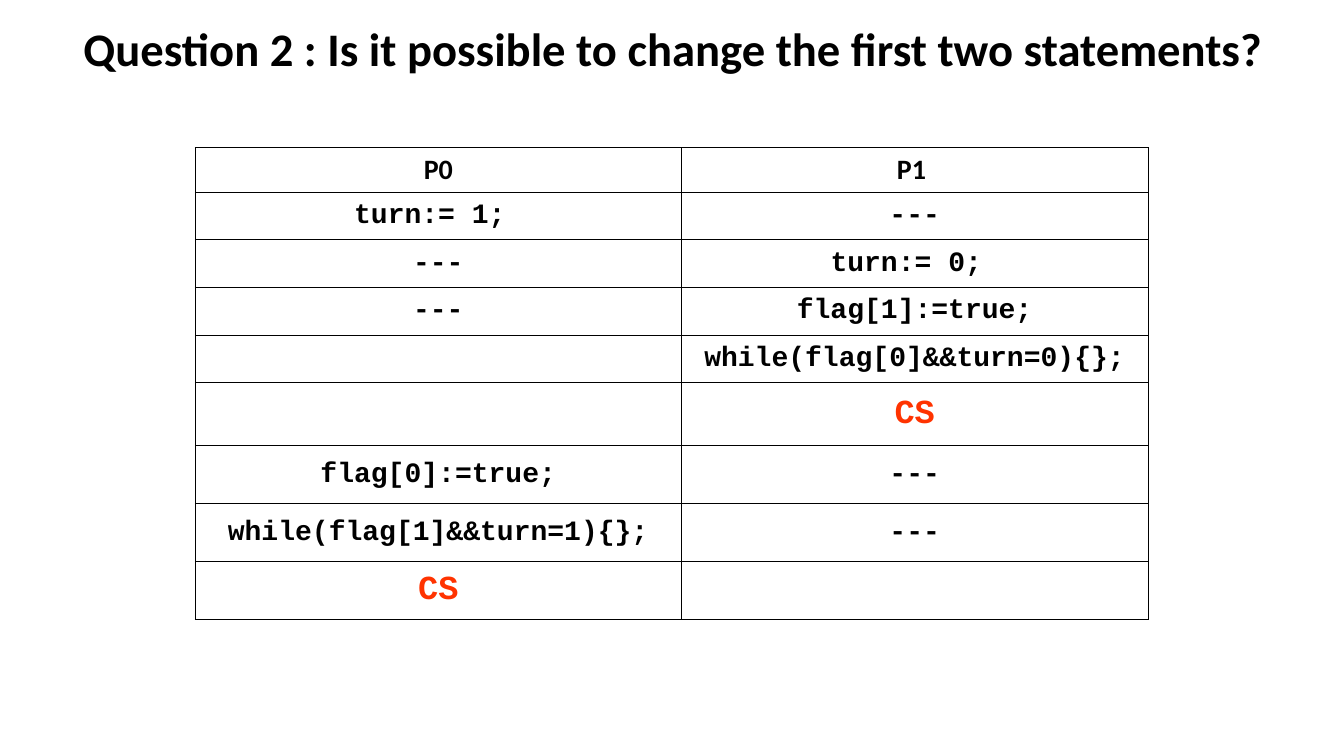
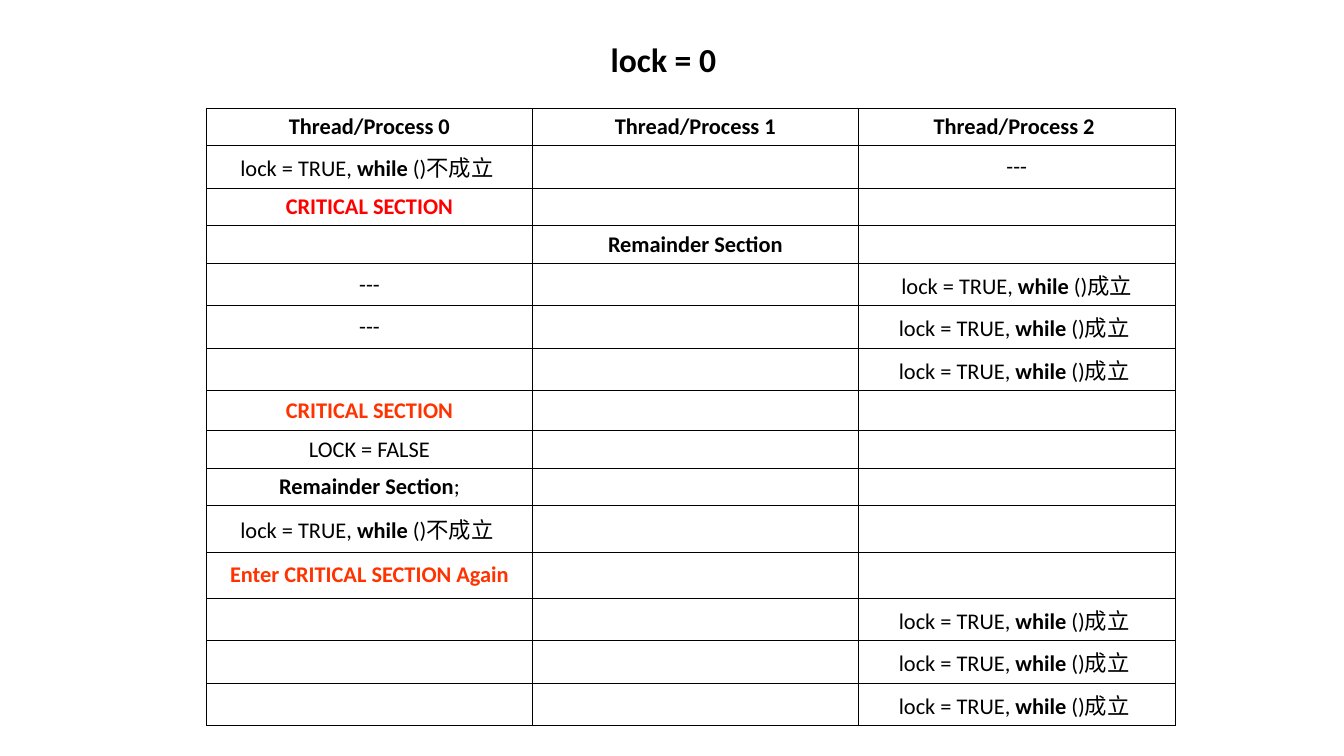
from lxml.etree import SubElement
from pptx import Presentation
from pptx.dml.color import RGBColor
from pptx.enum.text import MSO_ANCHOR, MSO_AUTO_SIZE, PP_ALIGN
from pptx.oxml.ns import qn
from pptx.util import Pt

BLACK = RGBColor(0x00, 0x00, 0x00)
RED = RGBColor(0xFF, 0x00, 0x00)
ORANGE_RED = RGBColor(0xFF, 0x33, 0x00)
BODY_FONT = "Calibri"
CODE_FONT = "Courier New"
TITLE_ONLY = 5

deck = Presentation()
deck.slide_width, deck.slide_height = Pt(960), Pt(540)


def add_titled_slide(text, left, top, width, height, size, align):
    slide = deck.slides.add_slide(deck.slide_layouts[TITLE_ONLY])
    title = slide.shapes.title
    title.left, title.top, title.width, title.height = Pt(left), Pt(top), Pt(width), Pt(height)
    frame = title.text_frame
    frame.text = text
    frame.auto_size = MSO_AUTO_SIZE.NONE
    frame.vertical_anchor = MSO_ANCHOR.MIDDLE
    paragraph = frame.paragraphs[0]
    paragraph.alignment = align
    font = paragraph.runs[0].font
    font.name, font.size, font.bold = BODY_FONT, Pt(size), True
    font.color.rgb = BLACK
    return slide


def add_schedule(slide, left, top, widths, heights, rows, size, accents,
                 accent_size, code_font, side_margin):
    """Draw a ruled table of execution steps.

    Text between ** marks is bold; accents maps (row, column) to a colour.
    """
    table = slide.shapes.add_table(len(rows), len(widths), Pt(left), Pt(top),
                                   Pt(sum(widths)), Pt(sum(heights))).table
    table.first_row = table.horz_banding = False
    for column, width in zip(table.columns, widths):
        column.width = Pt(width)
    for r, (texts, height) in enumerate(zip(rows, heights)):
        table.rows[r].height = Pt(height)
        for c, text in enumerate(texts):
            cell = table.cell(r, c)
            cell.vertical_anchor = MSO_ANCHOR.MIDDLE
            cell.margin_left = cell.margin_right = Pt(side_margin)
            cell_properties = cell._tc.get_or_add_tcPr()
            for side in ("a:lnL", "a:lnR", "a:lnT", "a:lnB"):
                border = SubElement(cell_properties, qn(side), w=str(Pt(0.75)))
                border_fill = SubElement(border, qn("a:solidFill"))
                SubElement(border_fill, qn("a:srgbClr"), val=str(BLACK))
            cell.fill.background()

            paragraph = cell.text_frame.paragraphs[0]
            paragraph.alignment = PP_ALIGN.CENTER
            if not text:
                # An empty cell still claims one line of its font size.
                paragraph._p.get_or_add_endParaRPr().set("sz", str(size * 100))
            for i, part in enumerate(text.split("**")):
                if not part:
                    continue
                run = paragraph.add_run()
                run.text = part
                font = run.font
                font.name = code_font if r else BODY_FONT
                font.size = Pt(accent_size if (r, c) in accents else size)
                font.bold = i % 2 == 1
                font.color.rgb = accents.get((r, c), BLACK)


# Slide 1: swapped statements
question = add_titled_slide("Question 2 : Is it possible to change the first two statements?",
                            49, 6, 864, 52, 33.3, PP_ALIGN.CENTER)
question.shapes.title.text_frame.paragraphs[0].line_spacing = 1.1
interleaving = [
    ("P0", "P1 "),
    ("turn:= 1; ", "---"),
    ("---", "turn:= 0; "),
    ("---", "flag[1]:=true;"),
    ("", "while(flag[0]&&turn=0){};"),
    ("", "CS"),
    ("flag[0]:=true;", "---"),
    ("while(flag[1]&&turn=1){};", "---"),
    ("CS", ""),
]
add_schedule(question, 139.5, 105.6, [347.2, 333.4],
             [31.6] + [34] * 4 + [45.2] + [41.4] * 3,
             [[f"**{text}**" if text else "" for text in row] for row in interleaving],
             20, {(5, 1): ORANGE_RED, (8, 0): ORANGE_RED}, 24, CODE_FONT, 7.2)

# Slide 2: three threads sharing one lock
lock_slide = add_titled_slide("lock = 0", 429, 24.5, 130, 36, 24, PP_ALIGN.LEFT)
ENTERS = "lock = TRUE, **while **()不成立 "
WAITS = "lock = TRUE, **while **()成立 "
PLAIN, CHINESE, TALL = 26.6, 30.4, 33
lock_steps = [
    (PLAIN, "**Thread/Process 0**", "**Thread/Process 1**", "**Thread/Process 2 **"),
    (CHINESE, ENTERS, "", "---"),
    (PLAIN, "**CRITICAL SECTION**", "", ""),
    (PLAIN, "", "**Remainder Section**", ""),
    (CHINESE, "---", "", WAITS.rstrip()),
    (CHINESE, "---", "", WAITS),
    (CHINESE, "", "", WAITS),
    (28.6, "**CRITICAL SECTION**", "", ""),
    (PLAIN, "LOCK = FALSE", "", ""),
    (PLAIN, "**Remainder Section**;", "", ""),
    (TALL, ENTERS, "", ""),
    (TALL, "**Enter CRITICAL SECTION Again**", "", ""),
    *[(CHINESE, "", "", WAITS)] * 3,
]
add_schedule(lock_slide, 147.5, 77.3, [232.8, 232.8, 226.4],
             [step[0] for step in lock_steps], [step[1:] for step in lock_steps],
             16, {(2, 0): RED, (7, 0): ORANGE_RED, (11, 0): ORANGE_RED}, 16, BODY_FONT, 10)

deck.save("out.pptx")
